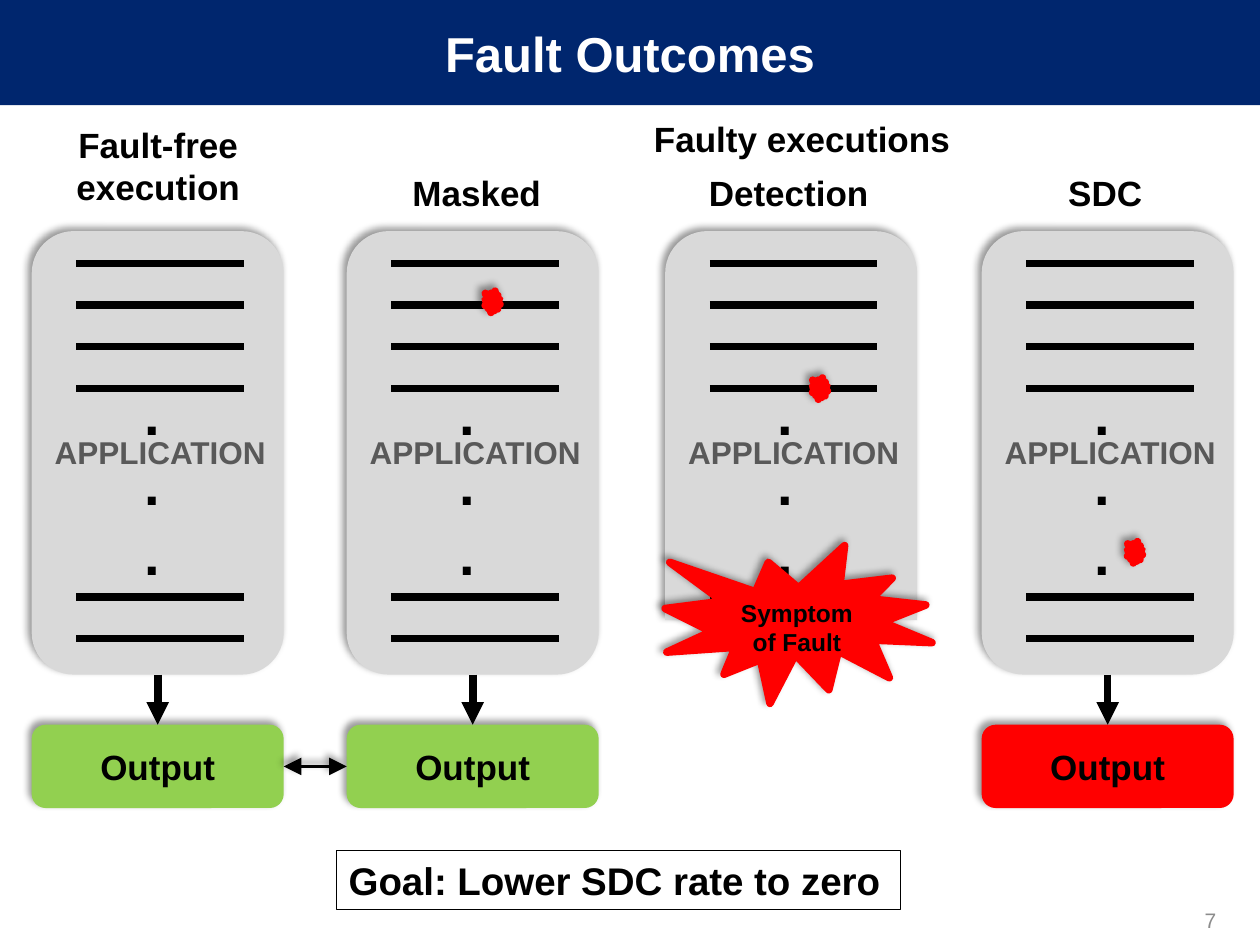
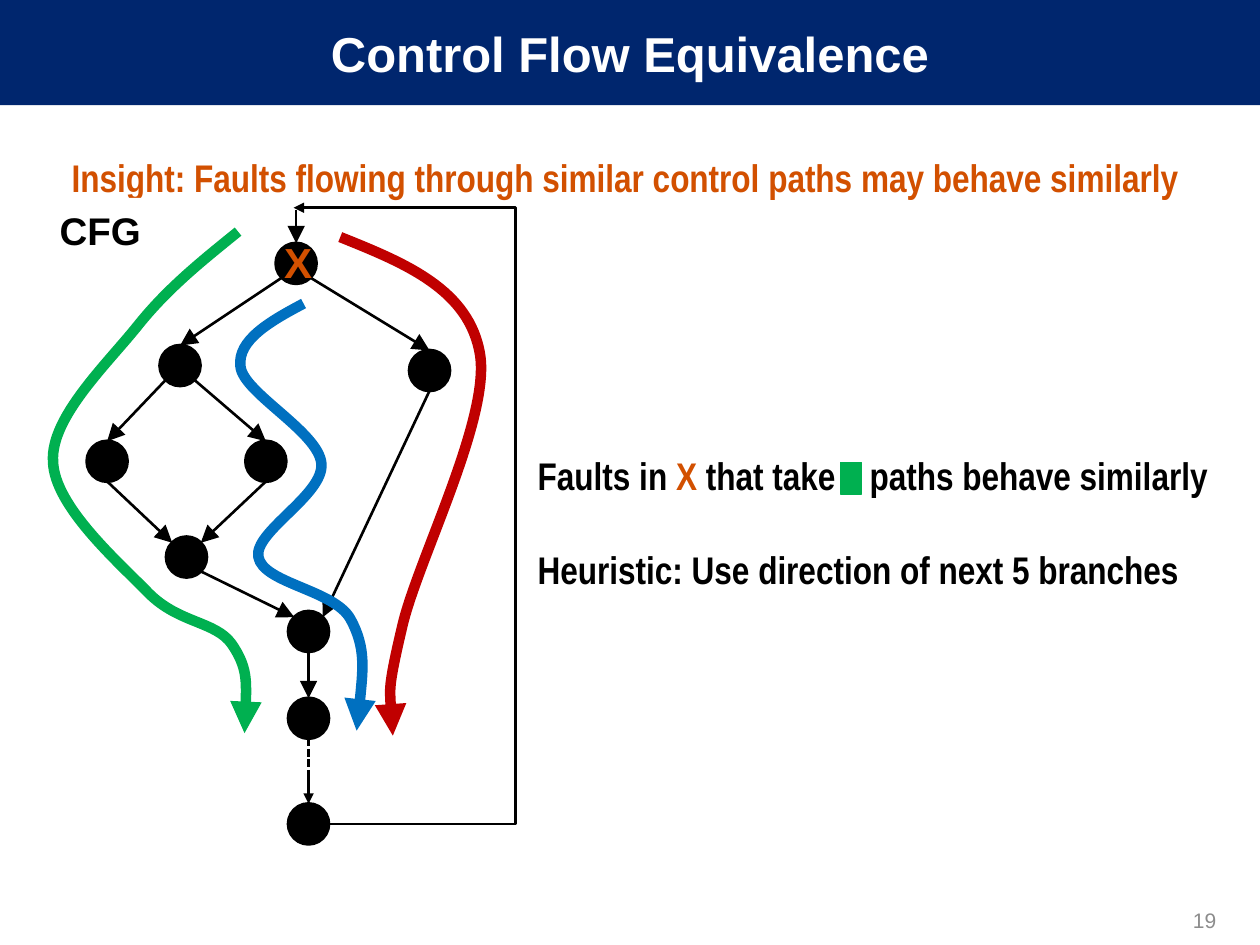
import pptx
import pptx.dml.color
import pptx.enum.dml
import pptx.enum.shapes
import pptx.enum.text
import pptx.oxml
import pptx.oxml.ns
import pptx.util
from pptx.util import Cm

COLORS = {
    "navy": "00266E", "white": "FFFFFF", "black": "000000",
    "panel": "D9D9D9", "panel text": "595959", "page number": "8C8C8C",
    "output": "92D050", "fault": "FF0000", "accent": "D25000",
    "green path": "00B050", "blue path": "0070C0", "red path": "C00000",
}
SHAPES = pptx.enum.shapes.MSO_SHAPE
CONNECTORS = pptx.enum.shapes.MSO_CONNECTOR
ALIGN = pptx.enum.text.PP_ALIGN
ANCHOR = pptx.enum.text.MSO_ANCHOR

# Execution columns
PANEL_TOP, PANEL_WIDTH, PANEL_HEIGHT = 4.66, 5.08, 8.94
CUT_PANEL_HEIGHT = 7.84
OUTPUT_TOP, OUTPUT_HEIGHT = 14.61, 1.68
CODE_TOP, CODE_PITCH = 5.31, 0.84
CODE_ROWS = (0, 1, 2, 3, 8, 9)

# Control flow graph: node centres, and points on a node's rim
NODE_SIZE = 0.81
NODES = {
    "entry": (5.97, 5.31), "left": (3.63, 7.37), "right": (8.66, 7.47),
    "outer": (2.16, 9.3), "inner": (5.36, 9.3), "join": (3.76, 11.23),
    "merge": (6.22, 12.73), "next": (6.22, 14.48), "last": (6.22, 16.61),
}
RIM = {
    "top": (0, -1), "bottom": (0, 1), "right": (1, 0),
    "top left": (-0.71, -0.71), "top right": (0.71, -0.71),
    "bottom left": (-0.71, 0.71), "bottom right": (0.71, 0.71),
}
EDGES = [
    ("entry", "bottom left", "left", "top"),
    ("entry", "bottom right", "right", "top"),
    ("left", "bottom left", "outer", "top"),
    ("left", "bottom right", "inner", "top"),
    ("outer", "bottom", "join", "top left"),
    ("inner", "bottom", "join", "top right"),
    ("join", "bottom right", "merge", "top left"),
    ("right", "bottom", "merge", "top right"),
    ("merge", "bottom", "next", "top"),
]
# Each path is a start point, then three points for every Bézier segment
PATHS = {
    "green path": [
        (4.8, 4.67), (4.11, 5.23), (3.4, 5.79), (2.79, 6.55),
        (2.16, 7.34), (1.02, 8.41), (1.07, 9.3),
        (1.09, 10.21), (2.41, 11.35), (3, 11.96),
        (3.61, 12.57), (4.34, 12.52), (4.67, 12.98),
        (5, 13.46), (4.98, 14.12), (4.93, 14.78)],
    "blue path": [
        (6.12, 6.12), (5.44, 6.48), (4.78, 6.86), (4.85, 7.39),
        (4.9, 7.92), (6.43, 8.71), (6.48, 9.35),
        (6.53, 9.98), (5.11, 10.72), (5.21, 11.23),
        (5.31, 11.76), (6.73, 11.89), (7.06, 12.47),
        (7.39, 13.06), (7.29, 13.89), (7.19, 14.73)],
    "red path": [
        (6.86, 4.78), (8.18, 5.31), (9.47, 5.84), (9.68, 7.16),
        (9.88, 8.48), (8.38, 11.38), (8.1, 12.67),
        (7.8, 13.94), (7.87, 14.4), (7.92, 14.83)],
}


def rgb(color):
    return pptx.dml.color.RGBColor.from_string(COLORS[color])


def add_element(parent, tag, **attributes):
    element = pptx.oxml.parse_xml(f"<{tag} {pptx.oxml.ns.nsdecls('a')}/>")
    for name, value in attributes.items():
        element.set(name, str(value))
    parent.append(element)
    return element


def add_soft_shadow(effects):
    shadow = add_element(effects, "a:outerShdw", blurRad=50800, dist=38100,
                         dir=13500000, algn="br", rotWithShape=0)
    add_element(add_element(shadow, "a:srgbClr", val=COLORS["black"]),
                "a:alpha", val=40000)


def set_line(line, color, width):
    line.color.rgb = rgb(color)
    line.width = pptx.util.Pt(width)


def add_arrowheads(line, ends, size="med"):
    for end in ends:
        add_element(line._get_or_add_ln(), f"a:{end}End", type="triangle",
                    w=size, len=size)


def set_font(paragraph, size, color="black", name="Arial", bold=True):
    font = paragraph.font
    font.name, font.size, font.bold = name, pptx.util.Pt(size), bold
    font.color.rgb = rgb(color)


def write(shape, text, size, color="black", align=ALIGN.CENTER,
          anchor=ANCHOR.MIDDLE, space_before=0, **font):
    frame = shape.text_frame
    frame.word_wrap = True
    frame.vertical_anchor = anchor
    frame.text = text
    for index, paragraph in enumerate(frame.paragraphs):
        paragraph.alignment = align
        if index and space_before:
            paragraph.space_before = pptx.util.Pt(space_before)
        set_font(paragraph, size, color, **font)


def add_text(slide, text, left, top, width, height, size, **style):
    box = slide.shapes.add_textbox(Cm(left), Cm(top), Cm(width), Cm(height))
    write(box, text, size, **style)
    return box


def add_shape(slide, kind, left, top, width, height, fill, line=None,
              shadow=False):
    """Add a filled shape; line is a (color, points) pair."""
    shape = slide.shapes.add_shape(kind, Cm(left), Cm(top), Cm(width), Cm(height))
    shape.fill.solid()
    shape.fill.fore_color.rgb = rgb(fill)
    if line:
        set_line(shape.line, *line)
    else:
        shape.line.fill.background()
    shape.shadow.inherit = False
    if shadow:
        add_soft_shadow(shape._element.spPr.find(pptx.oxml.ns.qn("a:effectLst")))
    return shape


def add_line(slide, start, end, width, ends=(), size="med", dash=None,
             shadow=False, kind=CONNECTORS.STRAIGHT):
    connector = slide.shapes.add_connector(kind, *map(Cm, (*start, *end)))
    set_line(connector.line, "black", width)
    if dash:
        connector.line.dash_style = dash
    add_arrowheads(connector.line, ends, size)
    effects = add_element(connector._element.spPr, "a:effectLst")
    if shadow:
        add_soft_shadow(effects)
    return connector


def join(slide, first, first_side, second, second_side, *style, **options):
    connector = add_line(slide, (0, 0), (0, 0), *style, **options)
    connector.begin_connect(first, first_side)
    connector.end_connect(second, second_side)


def add_curve(slide, points, color):
    """Draw an arrow through Bézier segments."""
    start, *rest = [(Cm(x), Cm(y)) for x, y in points]
    builder = slide.shapes.build_freeform(*start)
    builder.add_line_segments(rest, close=False)
    curve = builder.convert_to_shape()
    steps = list(curve._element.iter(pptx.oxml.ns.qn("a:lnTo")))
    outline = steps[0].getparent()
    for index in range(0, len(steps), 3):
        bezier = add_element(outline, "a:cubicBezTo")
        for step in steps[index:index + 3]:
            bezier.append(step[0])
            outline.remove(step)
    curve.fill.background()
    curve.shadow.inherit = False
    set_line(curve.line, color, 6)
    add_arrowheads(curve.line, ["tail"])


def add_titled_slide(presentation, title, number):
    slide = presentation.slides.add_slide(presentation.slide_layouts[5])
    band = slide.shapes.title
    band.left, band.top = Cm(0), Cm(0)
    band.width, band.height = presentation.slide_width, Cm(2.12)
    band.fill.solid()
    band.fill.fore_color.rgb = rgb("navy")
    write(band, title, 28, "white")
    add_text(slide, number, 18.85, 18.03, 5.92, 1.02, 12,
             color="page number", align=ALIGN.RIGHT, bold=False)
    return slide


def add_application(slide, left, cut=False):
    """Draw a program panel; a cut one stops before its last code line."""
    kind = SHAPES.ROUND_2_SAME_RECTANGLE if cut else SHAPES.ROUNDED_RECTANGLE
    panel = add_shape(slide, kind, left, PANEL_TOP, PANEL_WIDTH,
                      CUT_PANEL_HEIGHT if cut else PANEL_HEIGHT,
                      "panel", shadow=True)
    add_text(slide, "APPLICATION", left, 8.61, 5.18, 1.02, 18, color="panel text")
    for row in CODE_ROWS[:-1] if cut else CODE_ROWS:
        y = CODE_TOP + row * CODE_PITCH
        add_line(slide, (left + 0.9, y), (left + 4.27, y), 4.32)
    dots = add_text(slide, ".\n.\n.", left + 2.13, 7.65, 0.6, 4.1, 32,
                    anchor=ANCHOR.TOP, space_before=1.5)
    frame = dots.text_frame
    frame.margin_left = frame.margin_right = frame.margin_top = 0
    return panel


def add_output(slide, panel, left, color):
    output = add_shape(slide, SHAPES.ROUNDED_RECTANGLE, left, OUTPUT_TOP,
                       PANEL_WIDTH, OUTPUT_HEIGHT, color, shadow=True)
    write(output, "Output", 20)
    join(slide, panel, 2, output, 0, 4.32, ends=["tail"])
    return output


def add_seal(slide, left, top, width=0.3, height=0.43):
    return add_shape(slide, SHAPES.EXPLOSION1, left, top, width, height,
                     "fault", ("fault", 4.32), shadow=True)


def rim_point(node, side):
    return tuple(center + direction * NODE_SIZE / 2
                 for center, direction in zip(NODES[node], RIM[side]))


def build_fault_outcomes(presentation):
    slide = add_titled_slide(presentation, "Fault Outcomes", "7")
    for text, center, top, height in [
            ("Fault-free\nexecution", 3.19, 2.36, 1.96),
            ("Masked", 9.61, 3.33, 1.12), ("Detection", 15.9, 3.33, 1.12),
            ("SDC", 22.28, 3.33, 1.12), ("Faulty executions", 16.17, 2.24, 1.12)]:
        add_text(slide, text, center - 3.3, top, 6.6, height, 20)

    outputs = []
    for left, color in [(0.64, "output"), (6.99, "output"),
                        (13.41, None), (19.79, "fault")]:
        panel = add_application(slide, left, cut=color is None)
        if color:
            outputs.append(add_output(slide, panel, left, color))
    join(slide, outputs[0], 3, outputs[1], 1, 2, ends=["head", "tail"],
         size="lg", shadow=True)

    for left, top in [(9.78, 5.87), (16.38, 7.62), (22.73, 10.92)]:
        add_seal(slide, left, top)
    symptom = add_seal(slide, 13.41, 11, 5.38, 3.18)
    write(symptom, "Symptom of Fault", 14, anchor=ANCHOR.TOP)

    goal = add_text(slide, "Goal: Lower SDC rate to zero", 6.78, 17.15,
                    11.38, 1.19, 22, align=ALIGN.LEFT)
    set_line(goal.line, "black", 0.75)


def add_conclusions(slide):
    box = add_text(slide, "\nHeuristic: Use direction of next 5 branches",
                   10.59, 8.99, 14.4, 3.07, 22, align=ALIGN.LEFT,
                   anchor=ANCHOR.TOP, space_before=27, name="Arial Narrow")
    paragraph = box.text_frame.paragraphs[0]
    tabs = add_element(paragraph._p.get_or_add_pPr(), "a:tabLst")
    add_element(tabs, "a:tab", pos=Cm(6.69), algn="l")
    paragraph._p.pPr.insert(0, tabs)
    for text in ("Faults in ", "X", " that take\tpaths behave similarly"):
        run = paragraph.add_run()
        run.text = text
        if text == "X":
            run.font.color.rgb = rgb("accent")
    add_shape(slide, SHAPES.RECTANGLE, 16.94, 9.32, 0.43, 0.64,
              "green path", ("green path", 0.75))


def build_control_flow(presentation):
    slide = add_titled_slide(presentation, "Control Flow Equivalence", "19")
    add_text(slide,
             "Insight: Faults flowing through similar control paths may behave similarly",
             0, 2.74, 25.2, 1.65, 22, color="accent", name="Arial Narrow")
    cfg = add_text(slide, "CFG", 0.84, 3.99, 2.36, 1.3, 22)
    cfg.fill.solid()
    cfg.fill.fore_color.rgb = rgb("white")

    for x, y in NODES.values():
        add_shape(slide, SHAPES.OVAL, x - NODE_SIZE / 2, y - NODE_SIZE / 2,
                  NODE_SIZE, NODE_SIZE, "black", ("black", 2))
    for source, source_side, target, target_side in EDGES:
        add_line(slide, rim_point(source, source_side),
                 rim_point(target, target_side), 1.5, ["tail"], "lg")
    add_line(slide, (5.97, 4.24), rim_point("entry", "top"), 1.5, ["tail"], "lg")
    middle = (6.22, 15.62)
    add_line(slide, rim_point("next", "bottom"), middle, 1.5,
             dash=pptx.enum.dml.MSO_LINE.SQUARE_DOT)
    add_line(slide, middle, rim_point("last", "top"), 1.5, ["tail"])

    start, end, turn = rim_point("last", "right"), (5.92, 4.19), 10.39
    loop = add_line(slide, start, end, 1.5, ["tail"], kind=CONNECTORS.ELBOW)
    bend = round((start[0] - turn) / (start[0] - end[0]) * 100000)
    geometry = loop._element.spPr.find(pptx.oxml.ns.qn("a:prstGeom"))
    add_element(geometry.get_or_add_avLst(), "a:gd", name="adj1",
                fmla=f"val {bend}")

    for color, points in PATHS.items():
        add_curve(slide, points, color)
    add_text(slide, "X", 5.31, 4.65, 1.4, 1.27, 24, color="accent")
    add_conclusions(slide)


def main():
    presentation = pptx.Presentation()
    presentation.slide_width, presentation.slide_height = Cm(25.4), Cm(19.05)
    build_fault_outcomes(presentation)
    build_control_flow(presentation)
    presentation.save("out.pptx")


if __name__ == "__main__":
    main()
